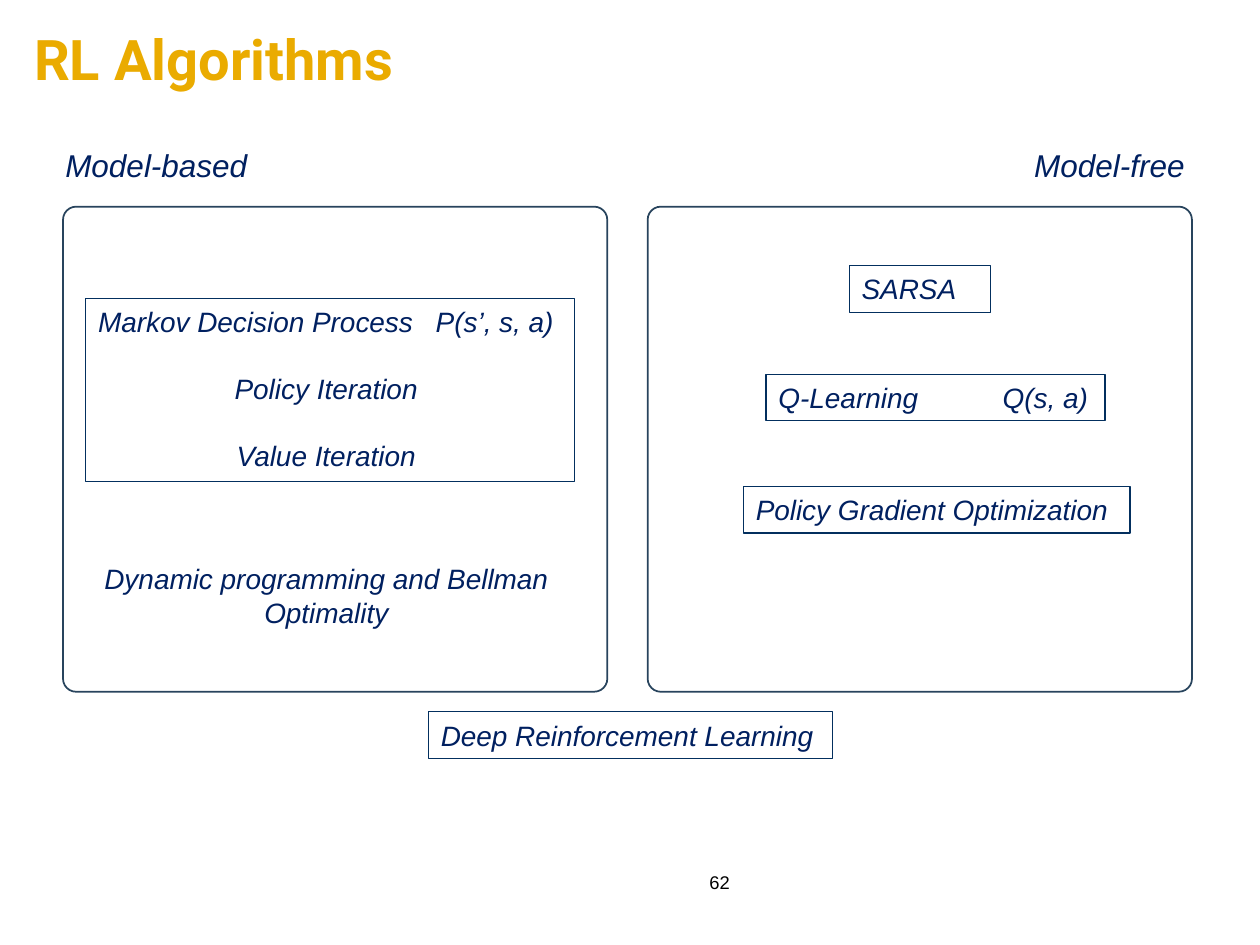
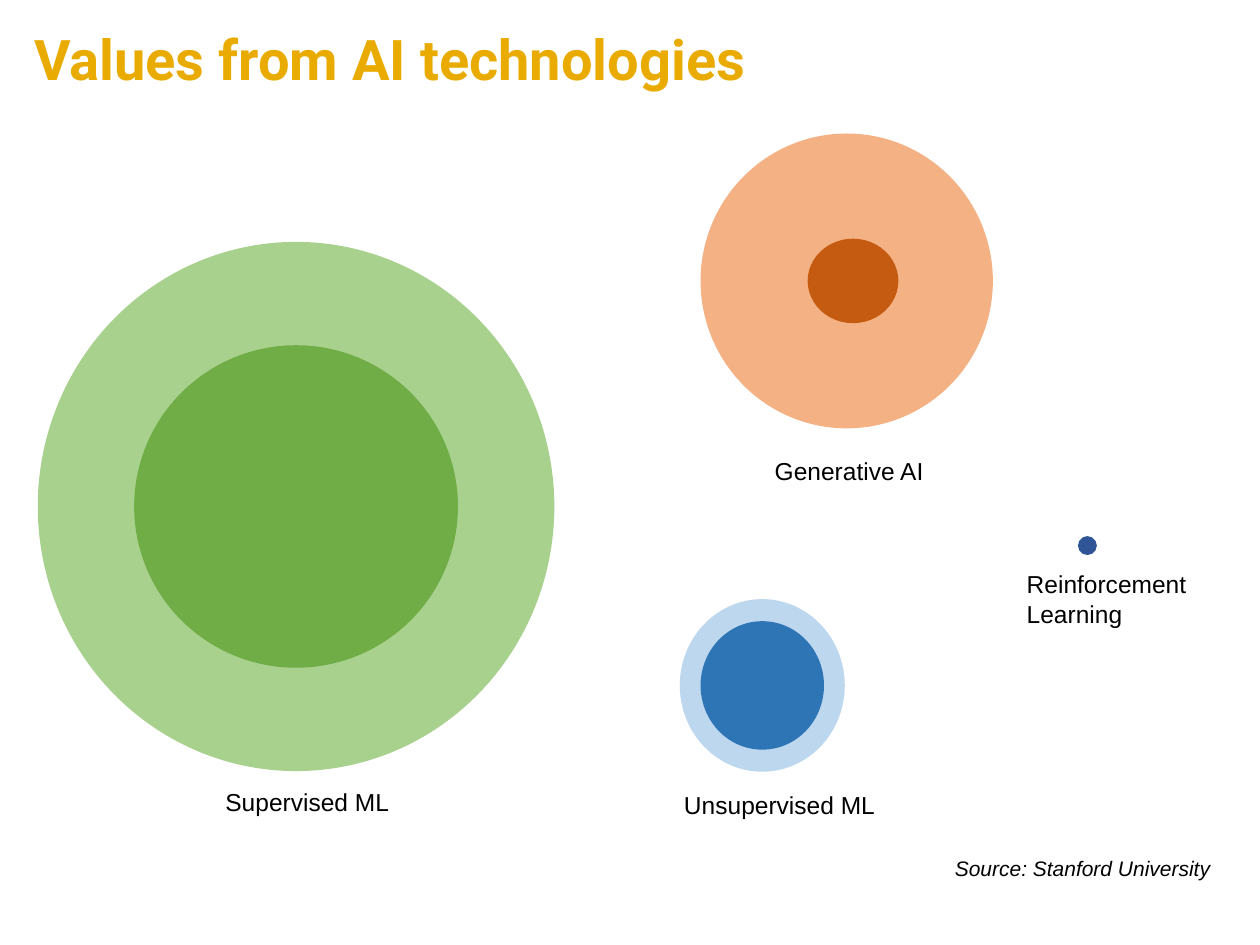
from pptx import Presentation
from pptx.dml.color import RGBColor as Rgb
from pptx.enum.shapes import MSO_SHAPE as Form
from pptx.enum.text import MSO_ANCHOR as Anchor, MSO_AUTO_SIZE as Fit, PP_ALIGN as Align
from pptx.oxml.ns import qn
from pptx.util import Inches, Pt
from lxml.etree import SubElement as Sub

INK = {
    "title": "EAAB00", "navy": "002060", "black": "000000",
    "box": "032F5E", "panel": "28445D",
    "leaf": "A9D18E", "green": "70AD47",
    "peach": "F4B183", "rust": "C55A11",
    "sky": "BDD7EE", "blue": "2E75B6", "dot": "2F5597",
}

deck = Presentation()
deck.slide_width, deck.slide_height = Inches(10), Inches(7.5)
cell = deck.slide_width // 100


def grid(*spans):
    return [round(span * cell) for span in spans]


def write(slide, text, place, size, ink="black", italic=False,
          align=Align.LEFT, edge=None, tab=None, gap=0):
    box = slide.shapes.add_textbox(*grid(*place))
    frame = box.text_frame
    frame.word_wrap = True
    frame.text = text
    if edge:
        box.line.color.rgb = Rgb.from_string(INK[edge])
        box.line.width = Pt(0.75)
    for row, para in enumerate(frame.paragraphs):
        if tab and "\t" in para.text:
            stops = Sub(para._p.get_or_add_pPr(), qn("a:tabLst"))
            Sub(stops, qn("a:tab"), pos=str(round(tab * cell)), algn="l")
        para.alignment = Align.CENTER if row else align
        if row:
            para.space_before = Pt(gap)
        para.font.name = "Arial"
        para.font.size = Pt(size)
        para.font.italic = italic
        para.font.color.rgb = Rgb.from_string(INK[ink])
    return frame


slides = []
for name in ("RL Algorithms", "Values from AI technologies"):
    slide = deck.slides.add_slide(deck.slide_layouts[5])
    head = slide.shapes.title
    head.left, head.top, head.width, head.height = grid(1.7, 0, 86.2, 9.9)
    frame = head.text_frame
    frame.text = name
    frame.auto_size = Fit.NONE
    frame.vertical_anchor = Anchor.MIDDLE
    para = frame.paragraphs[0]
    para.alignment = Align.LEFT
    para.line_spacing = 0.9
    para.font.name = "Roboto"
    para.font.size = Pt(32)
    para.font.bold = True
    para.font.color.rgb = Rgb.from_string(INK["title"])
    slides.append(slide)
methods, values = slides

for col in range(2):
    panel = methods.shapes.add_shape(
        Form.ROUNDED_RECTANGLE, *grid(5 + col * 46.4, 16.4, 43.2, 38.5))
    panel.adjustments[0] = 0.027
    panel.shadow.inherit = False
    panel.fill.background()
    panel.line.color.rgb = Rgb.from_string(INK["panel"])
    panel.line.width = Pt(1)

for text, left, width in (("Model-based", 4.2, 21.6), ("Model-free", 81.1, 18.9)):
    write(methods, text, (left, 11.1, width, 4), 18, "navy", True)

write(methods, "Markov Decision Process\tP(s’, s, a)\nPolicy Iteration \nValue Iteration ",
      (6.8, 23.7, 38.8, 14.5), 16, "navy", True, edge="box", tab=26.8, gap=19)
write(methods, "Dynamic programming and Bellman Optimality",
      (6.5, 44.1, 38.8, 6.4), 16, "navy", True, Align.CENTER)

for text, left, top, width in (
    ("SARSA", 67.4, 21.1, 11.2),
    ("Q-Learning\tQ(s, a)", 60.8, 29.7, 26.9),
    ("Policy Gradient Optimization", 59, 38.6, 30.7),
    ("Deep Reinforcement Learning", 34, 56.5, 32.1),
):
    write(methods, text, (left, top, width, 3.7), 16, "navy", True, edge="box", tab=17.8)

page = write(methods, "62", (54, 68, 4.9, 4), 10.5, align=Align.RIGHT)
page.vertical_anchor = Anchor.MIDDLE

for mid, row, width, height, ink in (
    (23.5, 40.2, 41, 42, "leaf"),
    (23.5, 40.2, 25.7, 25.6, "green"),
    (67.2, 22.3, 23.2, 23.4, "peach"),
    (67.7, 22.3, 7.2, 6.7, "rust"),
    (60.5, 54.4, 13.1, 13.7, "sky"),
    (60.5, 54.4, 9.8, 10.2, "blue"),
    (86.3, 43.3, 1.5, 1.5, "dot"),
):
    disk = values.shapes.add_shape(
        Form.OVAL, *grid(mid - width / 2, row - height / 2, width, height))
    disk.shadow.inherit = False
    disk.fill.solid()
    disk.fill.fore_color.rgb = Rgb.from_string(INK[ink])
    disk.line.fill.background()

for text, left, top, height in (
    ("Supervised ML", 16.9, 62, 3.4),
    ("Generative AI", 60.5, 35.7, 3.4),
    ("Unsupervised ML", 53.3, 62.2, 3.4),
    ("Reinforcement Learning", 80.5, 44.7, 5.7),
):
    write(values, text, (left, top, 19.5, height), 14)

write(values, "Source: Stanford University", (74.8, 67.4, 25.2, 3), 12, italic=True)

deck.save("out.pptx")
